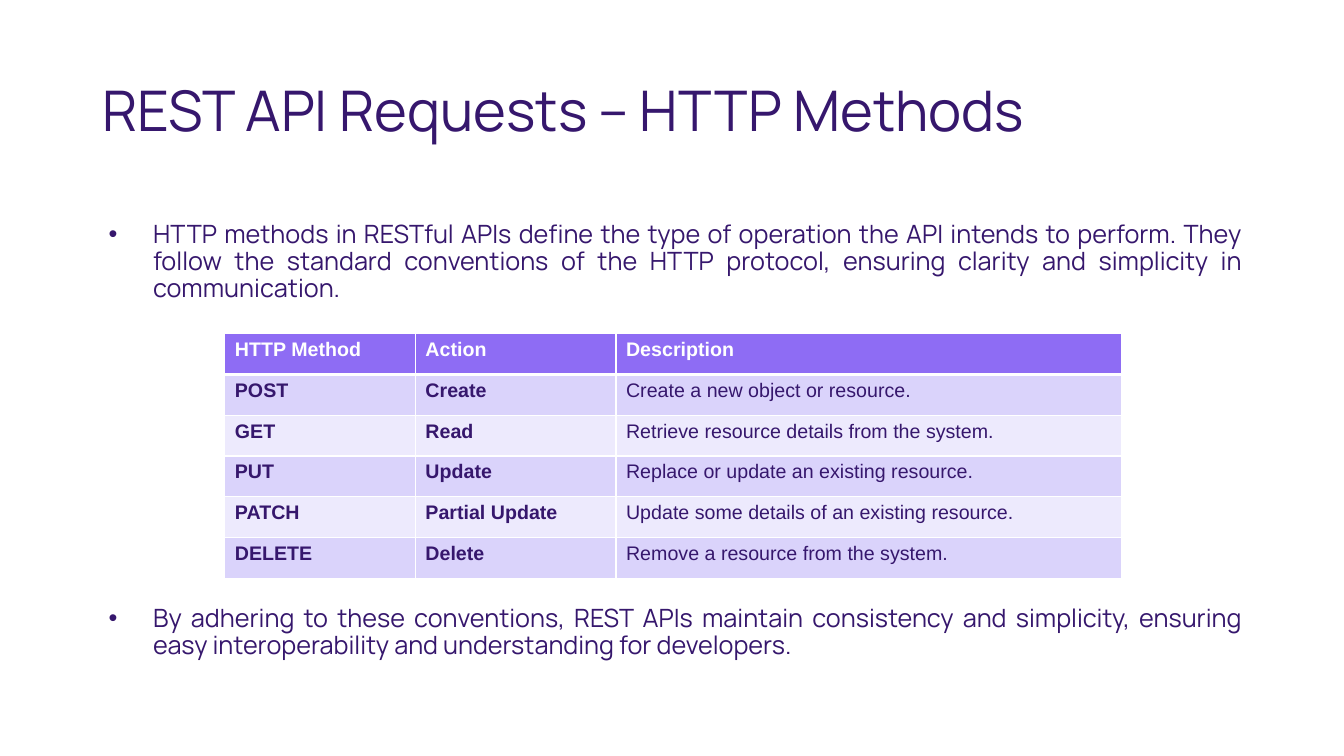
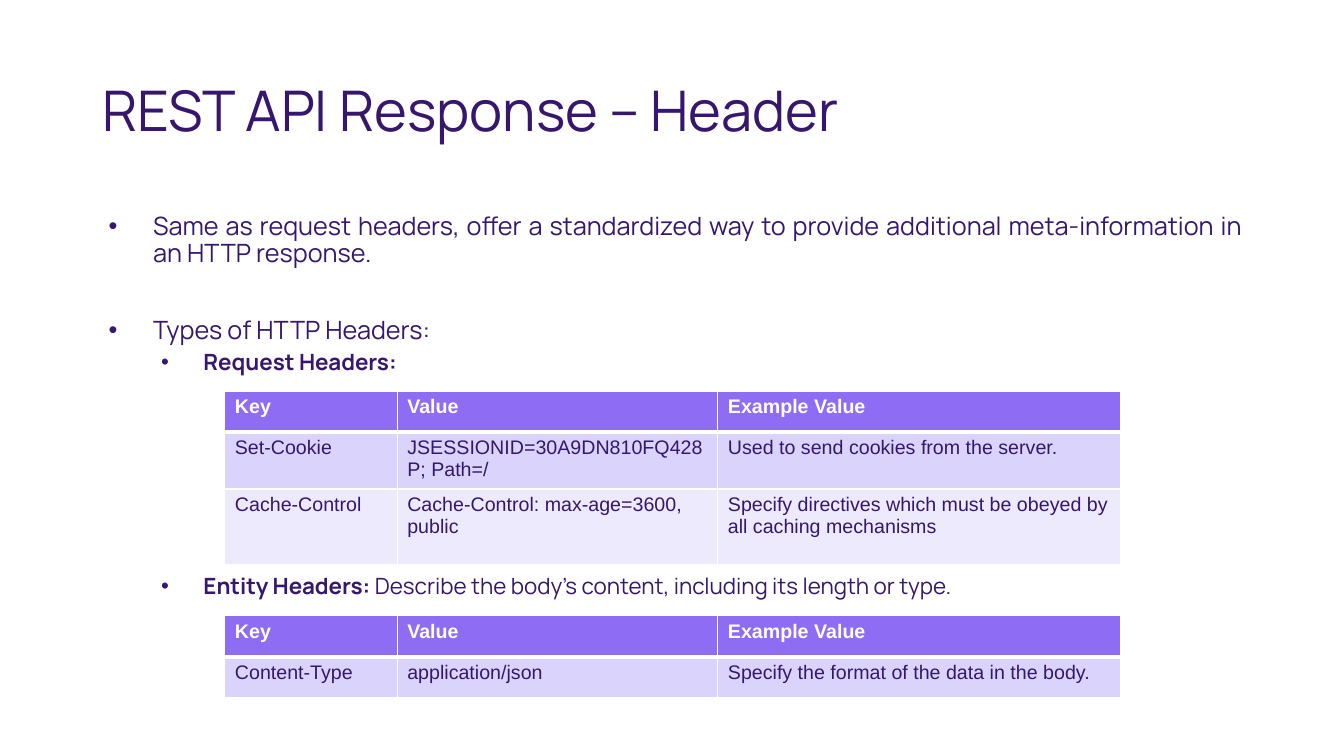
from lxml.etree import SubElement
from pptx import Presentation
from pptx.dml.color import RGBColor
from pptx.enum.text import MSO_ANCHOR, PP_ALIGN
from pptx.oxml.ns import qn
from pptx.util import Inches, Pt

INK = RGBColor(0x36, 0x17, 0x6D)
HEAD = RGBColor(0x8E, 0x6C, 0xF4)
BANDS = [RGBColor(0xDA, 0xD3, 0xFB), RGBColor(0xED, 0xEA, 0xFD)]
WHITE = RGBColor(0xFF, 0xFF, 0xFF)
LEFT, WIDTH, ROW = 0.92, 11.5, 0.405

# Per bullet level: text indent, hanging indent, size, space before
LEVELS = [(0.5, 0.44, 18, 10), (1, 0.42, 16, 5)]

KEYS = ["Key", "Value", "Example Value"]
WIDE = [1.71, 3.18, 3.99]

# Notes: top, height, then paragraphs of (level, bold part, plain part)
# Tables: top, column widths, row heights, count of bold columns, rows
SLIDES = [
    {
        "title": "REST API Requests – HTTP Methods",
        "notes": [
            (2.15, 0.95, [(0, "", "HTTP methods in RESTful APIs define the type of operation "
                                  "the API intends to perform. They follow the standard "
                                  "conventions of the HTTP protocol, ensuring clarity and "
                                  "simplicity in communication.")]),
            (5.96, 0.7, [(0, "", "By adhering to these conventions, REST APIs maintain "
                                 "consistency and simplicity, ensuring easy "
                                 "interoperability and understanding for developers.")]),
        ],
        "tables": [
            (3.31, [1.89, 1.99, 5.01], [ROW] * 6, 2, [
                ["HTTP Method", "Action", "Description"],
                ["POST", "Create", "Create a new object or resource."],
                ["GET", "Read", "Retrieve resource details from the system."],
                ["PUT", "Update", "Replace or update an existing resource."],
                ["PATCH", "Partial Update", "Update some details of an existing resource."],
                ["DELETE", "Delete", "Remove a resource from the system."],
            ]),
        ],
    },
    {
        "title": "REST API Response – Header",
        "notes": [
            (2.07, 0.7, [(0, "", "Same as request headers, offer a standardized way to "
                                 "provide additional meta-information in an HTTP response.")]),
            (3.1, 0.7, [(0, "", "Types of HTTP Headers:"), (1, "Request Headers:", "")]),
            (5.66, 0.4, [(1, "Entity Headers:", " Describe the body's content, including "
                                                "its length or type.")]),
        ],
        "tables": [
            (3.88, WIDE, [ROW, 0.54, 0.75], 0, [
                KEYS,
                ["Set-Cookie", "JSESSIONID=30A9DN810FQ428P; Path=/",
                 "Used to send cookies from the server."],
                ["Cache-Control", "Cache-Control: max-age=3600, public",
                 "Specify directives which must be obeyed by all caching mechanisms"],
            ]),
            (6.11, WIDE, [ROW] * 2, 0, [
                KEYS,
                ["Content-Type", "application/json",
                 "Specify the format of the data in the body."],
            ]),
        ],
    },
]


def write(para, text, size=14, face="Manrope", color=INK, bold=False):
    run = para.add_run()
    run.text = text
    font = run.font
    font.size, font.name, font.bold = Pt(size), face, bold
    font.color.rgb = color


def edge(cell, **widths):
    """Draw white cell borders; widths in points by side: L, R, T, B."""
    props = cell._tc.get_or_add_tcPr()
    for side, width in widths.items():
        line = SubElement(props, qn(f"a:ln{side}"), w=str(Pt(width)))
        fill = SubElement(line, qn("a:solidFill"))
        SubElement(fill, qn("a:srgbClr"), val=str(WHITE))


deck = Presentation()
deck.slide_width, deck.slide_height = Inches(13.33), Inches(7.5)

for page in SLIDES:
    slide = deck.slides.add_slide(deck.slide_layouts[6])

    box = slide.shapes.add_textbox(Inches(LEFT), Inches(0.4), Inches(WIDTH), Inches(1.45))
    frame = box.text_frame
    frame.word_wrap = True
    frame.vertical_anchor = MSO_ANCHOR.MIDDLE
    frame.paragraphs[0].line_spacing = 0.9
    write(frame.paragraphs[0], page["title"], size=40)

    for top, height, paras in page["notes"]:
        box = slide.shapes.add_textbox(Inches(LEFT), Inches(top), Inches(WIDTH), Inches(height))
        frame = box.text_frame
        frame.word_wrap = True
        for n, (level, strong, plain) in enumerate(paras):
            para = frame.add_paragraph() if n else frame.paragraphs[0]
            indent, hang, size, gap = LEVELS[level]
            props = para._p.get_or_add_pPr()
            props.set("marL", str(Inches(indent)))
            props.set("indent", str(-Inches(hang)))
            tint = SubElement(props, qn("a:buClr"))
            SubElement(tint, qn("a:srgbClr"), val=str(INK))
            SubElement(props, qn("a:buFont"), typeface="Arial")
            SubElement(props, qn("a:buChar"), char="•")
            para.level = level
            para.alignment = PP_ALIGN.JUSTIFY
            para.line_spacing = 0.9
            para.space_before = Pt(gap if n else 0)
            if strong:
                write(para, strong, size=size, bold=True)
            if plain:
                write(para, plain, size=size)

    for top, cols, heights, strong, rows in page["tables"]:
        table = slide.shapes.add_table(
            len(rows), len(cols), Inches(2.23), Inches(top),
            Inches(sum(cols)), Inches(sum(heights))).table
        for col, width in zip(table.columns, cols):
            col.width = Inches(width)
        for r, (row, height) in enumerate(zip(rows, heights)):
            table.rows[r].height = Inches(height)
            for c, text in enumerate(row):
                cell = table.cell(r, c)
                edge(cell, L=1, R=1, T=3 if r == 1 else 1, B=1 if r else 3)
                cell.fill.solid()
                cell.fill.fore_color.rgb = BANDS[(r - 1) % 2] if r else HEAD
                write(cell.text_frame.paragraphs[0], text, face="Arial",
                      color=INK if r else WHITE, bold=r == 0 or c < strong)

deck.save("out.pptx")
